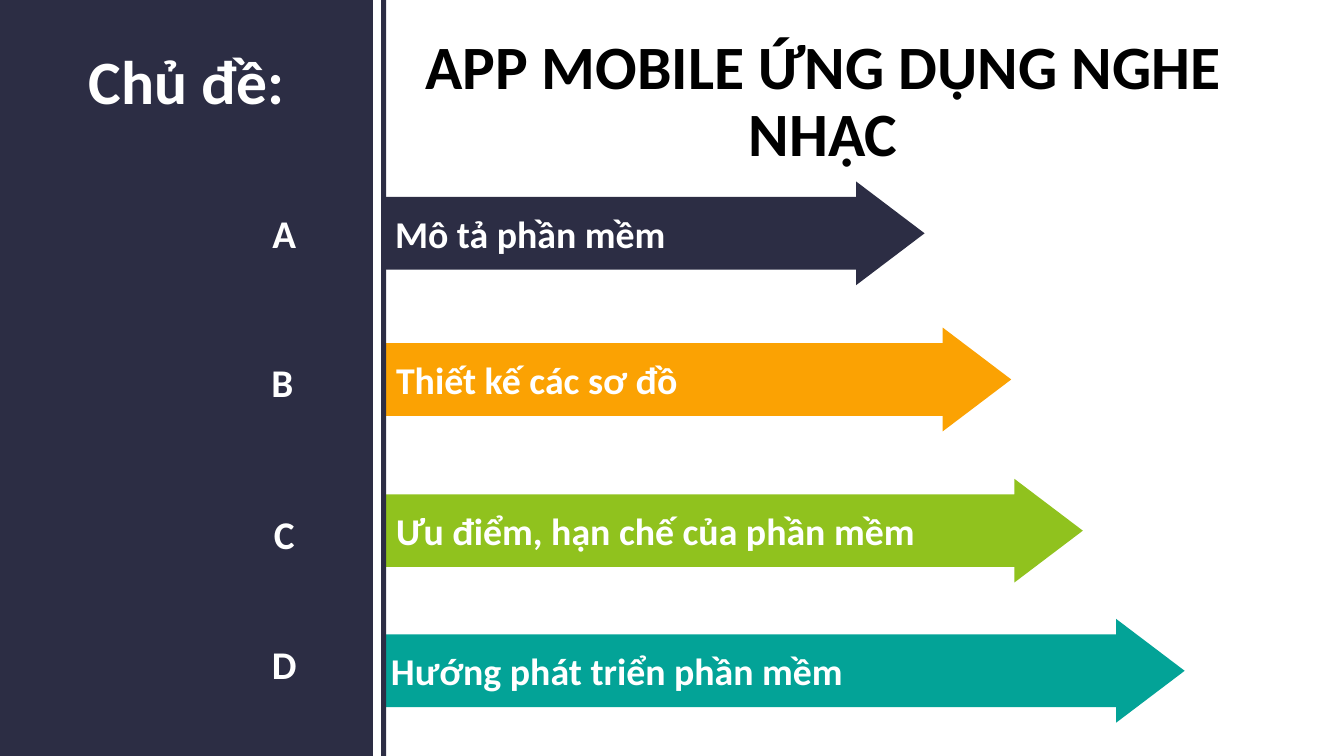
from pptx import Presentation
from pptx.dml.color import RGBColor
from pptx.enum.shapes import MSO_SHAPE
from pptx.enum.text import MSO_ANCHOR, PP_ALIGN
from pptx.util import Inches, Pt

RECT, ARROW = MSO_SHAPE.RECTANGLE, MSO_SHAPE.RIGHT_ARROW
LEFT, CENTER = PP_ALIGN.LEFT, PP_ALIGN.CENTER
TOP, MIDDLE = MSO_ANCHOR.TOP, MSO_ANCHOR.MIDDLE

COLORS = {"navy": "2C2D44", "orange": "FBA203", "green": "90C21E",
          "teal": "03A397", "white": "FFFFFF", "black": "000000"}
FONT = "Calibri"
PANEL_W = 3.7
ARROW_H = 1.03
LETTER_W, LETTER_H = 1.44, 0.57

# letter, letter left, letter top, label, arrow left, arrow top, arrow width, color
TOPICS = [
    ("A", 2.1, 2.03, "Mô tả phần mềm", 3.82, 1.8, 5.35, "navy"),
    ("B", 2.08, 3.5, "Thiết kế các sơ đồ", 3.83, 3.25, 6.2, "orange"),
    ("C", 2.1, 5.01, "Ưu điểm, hạn chế của phần mềm", 3.83, 4.75, 6.91, "green"),
    ("D", 2.1, 6.3, "Hướng phát triển phần mềm", 3.78, 6.14, 7.97, "teal"),
]


def set_text(sp, text, size, color, align, anchor, spacing=None):
    tf = sp.text_frame
    tf.word_wrap = True
    tf.vertical_anchor = anchor
    p = tf.paragraphs[0]
    p.text = text
    p.alignment = align
    p.line_spacing = spacing
    p.font.name = FONT
    p.font.size = Pt(size)
    p.font.bold = True
    p.font.color.rgb = RGBColor.from_string(COLORS[color])


def add_filled(s, kind, x, y, w, h, color):
    sp = s.shapes.add_shape(kind, Inches(x), Inches(y), Inches(w), Inches(h))
    sp.shadow.inherit = False
    sp.fill.solid()
    sp.fill.fore_color.rgb = RGBColor.from_string(COLORS[color])
    sp.line.fill.background()
    return sp


def add_label(s, x, y, w, h, text, size, anchor, spacing=None):
    sp = s.shapes.add_textbox(Inches(x), Inches(y), Inches(w), Inches(h))
    set_text(sp, text, size, "white", CENTER, anchor, spacing)


def place_title(s, x, y, w, h):
    sp = s.shapes.title
    sp.left, sp.top, sp.width, sp.height = map(Inches, (x, y, w, h))
    set_text(sp, "APP MOBILE ỨNG DỤNG NGHE NHẠC", 44, "black", CENTER, TOP, 0.9)


def add_topic_arrow(s, x, y, w, label, color):
    sp = add_filled(s, ARROW, x, y, w, ARROW_H, color)
    sp.adjustments[0] = 0.7
    sp.adjustments[1] = 0.66
    set_text(sp, label, 27, "white", LEFT, MIDDLE)


def add_side_panel(s, x, y, w, h):
    add_filled(s, RECT, x, y, w, h, "navy")
    add_filled(s, RECT, x + w + 0.08, y, 0.05, h, "navy")
    add_label(s, x, y + 0.46, w, 0.95, "Chủ đề:", 44, TOP, 0.9)


def main():
    prs = Presentation()
    prs.slide_width, prs.slide_height = Inches(13.33), Inches(7.5)
    s = prs.slides.add_slide(prs.slide_layouts[5])
    place_title(s, 3.78, 0.31, 8.77, 0.95)
    for _, _, _, label, x, y, w, color in TOPICS:
        add_topic_arrow(s, x, y, w, label, color)
    add_side_panel(s, 0, 0, PANEL_W, 7.5)
    for letter, x, y, *_ in TOPICS:
        add_label(s, x, y, LETTER_W, LETTER_H, letter, 28, MIDDLE)
    prs.save("out.pptx")


if __name__ == "__main__":
    main()
